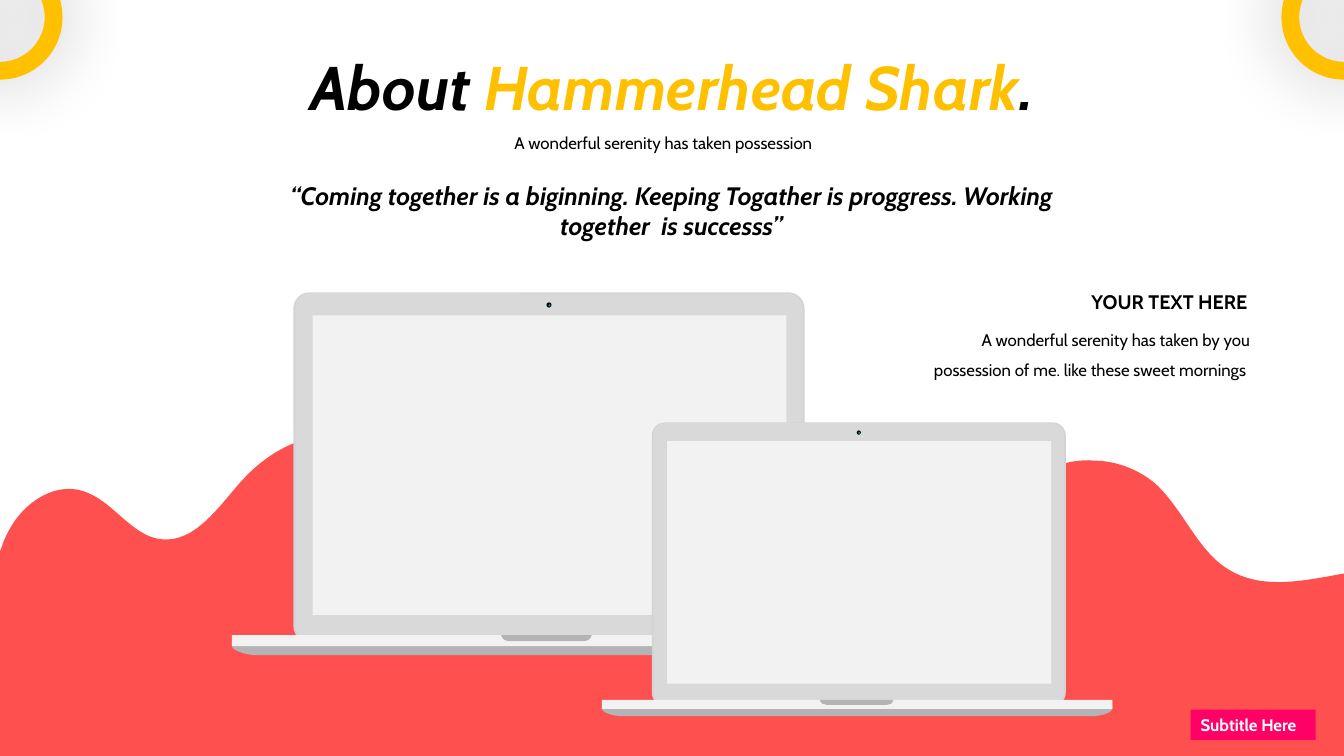
from lxml import etree
from pptx import Presentation
from pptx import util as u
from pptx.dml.color import RGBColor
from pptx.enum import shapes, text
from pptx.oxml import ns

PX = 9144
FONT = "Cabin"
COLORS = {
    "wave": "FF5050", "gold": "FFC000", "pink": "FF0066", "black": "000000",
    "white": "FFFFFF", "rim": "D2D3D5", "lid": "D9D9D9", "light": "F2F2F2",
    "shade": "B3B4B5", "camera": "0A0A0A", "lens": "2C99B4",
}
ALIGN = {"left": text.PP_ALIGN.LEFT, "center": text.PP_ALIGN.CENTER, "right": text.PP_ALIGN.RIGHT}
ANCHOR = {"top": text.MSO_ANCHOR.TOP, "middle": text.MSO_ANCHOR.MIDDLE}
KIND = shapes.MSO_SHAPE

HUMPS = [
    [(2, 542)],
    [(3, 538), (5, 534), (7, 530)],
    [(21, 500), (53, 478), (82, 487)],
    [(112, 496), (131, 533), (161, 535)],
    [(193, 538), (216, 504), (238, 479)],
    [(258, 456), (284, 439), (313, 433)],
    [(320, 432), (328, 431), (335, 432)],
    [(356, 432), (378, 440), (395, 454)],
    [(423, 479), (437, 520), (467, 539)],
    [(501, 561), (543, 551), (583, 544)],
]
VALLEY = [
    [(610, 540), (639, 539), (666, 540)],
    [(694, 542), (724, 548), (747, 564)],
    [(750, 566)],
]


def color(name):
    return RGBColor.from_string(COLORS[name])


def paint(shape, fill):
    shape.shadow.inherit = False
    shape.fill.solid()
    shape.fill.fore_color.rgb = color(fill)
    shape.line.fill.background()
    return shape


def add_shape(page, kind, box, fill, adjust=None):
    shape = page.shapes.add_shape(kind, *(round(side * PX) for side in box))
    if adjust is not None:
        shape.adjustments[0] = adjust
    return paint(shape, fill)


def add_outline(page, start, segments, fill):
    def emu(point):
        return tuple(round(side * PX) for side in point)

    builder = page.shapes.build_freeform(*emu(start), scale=1.0)
    builder.add_line_segments([emu(segment[-1]) for segment in segments], close=True)
    shape = paint(builder.convert_to_shape(), fill)
    lines = list(shape._element.iter(ns.qn("a:lnTo")))
    for line, segment in zip(lines, segments):
        if len(segment) == 3:
            curve = etree.Element(ns.qn("a:cubicBezTo"))
            for x, y in map(emu, segment):
                etree.SubElement(curve, ns.qn("a:pt"), x=str(x - shape.left), y=str(y - shape.top))
            line.getparent().replace(line, curve)
    return shape


def shift(segments, dx, dy):
    return [[(x + dx, y + dy) for x, y in segment] for segment in segments]


def add_wave(page):
    right = [[(750, 572)]] + shift(HUMPS, 750, 25)
    bottom = [[(1333, 751)], [(0, 751)]]
    add_outline(page, (0, 547), HUMPS + VALLEY + right + bottom, "wave")


def add_laptop(page, left, top, scale):
    def place(x, y):
        return left + x * scale, top + y * scale

    def part(kind, box, fill, radius=None):
        x, y, width, height = box
        adjust = radius / min(width, height) if radius else None
        add_shape(page, kind, (*place(x, y), width * scale, height * scale), fill, adjust)

    def outline(start, segments):
        scaled = [[place(*point) for point in segment] for segment in segments]
        add_outline(page, place(*start), scaled, "shade")

    outline((0, 346), [[(0, 351)], [(0, 354), (10, 360), (27, 360)], [(598, 360)],
                       [(615, 360), (625, 354), (625, 351)], [(625, 346)]])
    part(KIND.ROUNDED_RECTANGLE, (61, 0, 507, 347), "rim", 16)
    part(KIND.ROUNDED_RECTANGLE, (63, 1, 503, 344), "lid", 14)
    part(KIND.RECTANGLE, (0, 340, 625, 11), "light")
    outline((267, 340), [[(268, 344), (271, 346), (275, 346)], [(349, 346)],
                         [(353, 346), (356, 344), (357, 340)]])
    part(KIND.RECTANGLE, (80, 23, 470, 297), "light")
    part(KIND.OVAL, (312, 10, 5, 5), "camera")
    part(KIND.OVAL, (313, 11, 3, 4), "black")
    part(KIND.OVAL, (314, 12, 2, 2), "lens")


def add_ring(page, left):
    ring = add_shape(page, KIND.DONUT, (left, -45, 124, 124), "gold", 0.142)
    effects = ring._element.spPr.find(ns.qn("a:effectLst"))
    glow = etree.SubElement(effects, ns.qn("a:outerShdw"), blurRad=str(u.Pt(49)),
                            dist="0", dir="0", algn="ctr", rotWithShape="0")
    tint = etree.SubElement(glow, ns.qn("a:srgbClr"), val=COLORS["black"])
    etree.SubElement(tint, ns.qn("a:alpha"), val="33000")


def write(shape, *spans, size=12, bold=False, italic=False, align="center",
          spacing=None, anchor="top", wrap=True):
    frame = shape.text_frame
    frame.word_wrap = wrap
    frame.auto_size = text.MSO_AUTO_SIZE.SHAPE_TO_FIT_TEXT
    frame.vertical_anchor = ANCHOR[anchor]
    para = frame.paragraphs[0]
    para.alignment = ALIGN[align]
    para.line_spacing = spacing
    for words, ink in spans:
        span = para.add_run()
        span.text = words
        span.font.name = FONT
        span.font.size = u.Pt(size)
        span.font.bold = bold
        span.font.italic = italic
        span.font.color.rgb = color(ink)


def add_text(page, box, words, **style):
    write(page.shapes.add_textbox(*(side * PX for side in box)), (words, "black"), **style)


def main():
    deck = Presentation()
    deck.slide_width, deck.slide_height = u.Inches(13.33), u.Inches(7.5)
    page = deck.slides.add_slide(deck.slide_layouts[5])

    add_wave(page)
    add_laptop(page, 230, 290, 1)
    add_laptop(page, 597, 419, 0.81)

    title = page.shapes.title
    title.left, title.top, title.width, title.height = (side * PX for side in (237, 44, 860, 84))
    write(title, ("About ", "black"), ("Hammerhead Shark", "gold"), (".", "black"),
          size=44, bold=True, italic=True)
    add_text(page, (437, 117, 442, 37), "A wonderful serenity has taken possession", spacing=1.5)

    tag = add_shape(page, KIND.RECTANGLE, (1181, 704, 124, 30), "pink")
    write(tag, ("Subtitle Here", "white"), bold=True, align="left", anchor="middle", wrap=False)

    for left in (-62, 1271):
        add_ring(page, left)

    add_text(page, (960, 283, 287, 34), "YOUR TEXT HERE", size=14, bold=True, align="right")
    add_text(page, (886, 312, 364, 67),
             "A wonderful serenity has taken by you possession of me. like these sweet mornings ",
             align="right", spacing=1.5)
    add_text(page, (236, 174, 860, 71),
             "“Coming together is a biginning. Keeping Togather is proggress. "
             "Working together  is successs”",
             size=18, bold=True, italic=True)

    deck.save("out.pptx")


if __name__ == "__main__":
    main()
